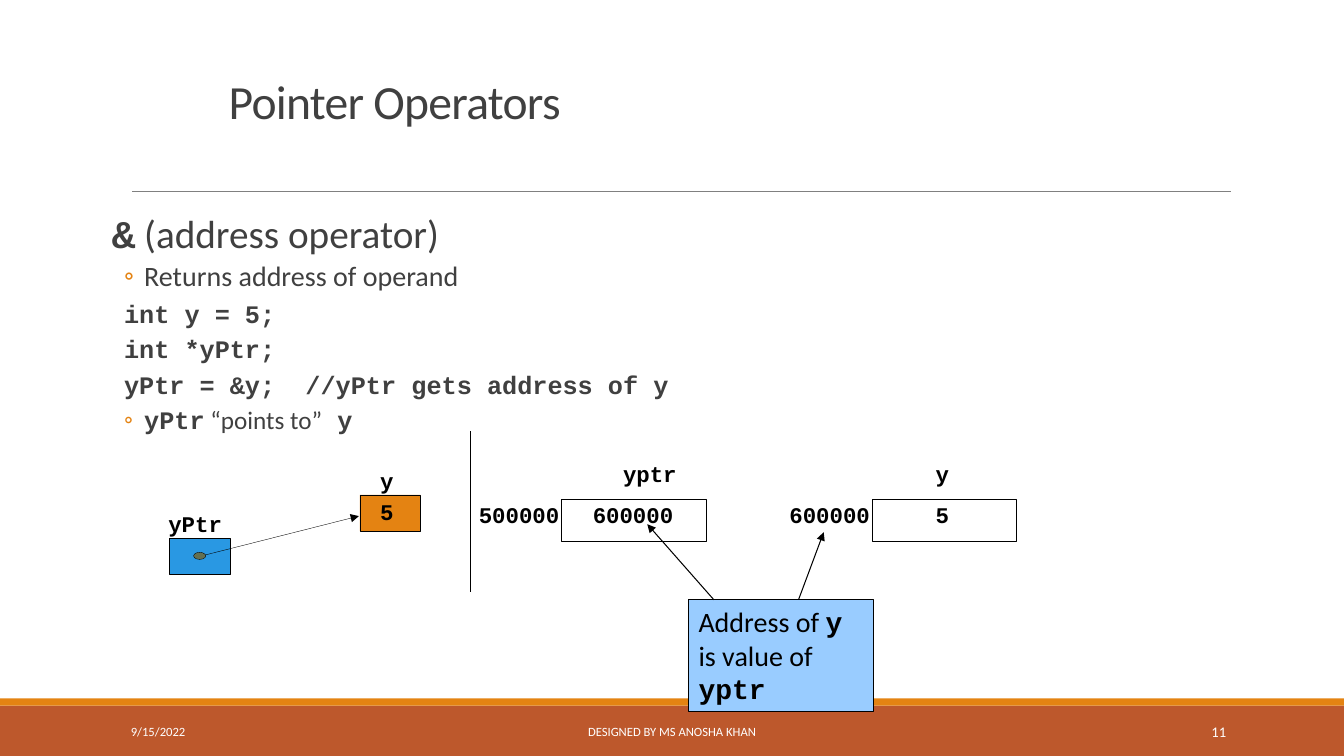
from lxml import etree
from pptx import Presentation
from pptx import util as u
from pptx.dml.color import RGBColor
from pptx.enum import shapes, text
from pptx.oxml.ns import qn

WHITE = RGBColor(0xFF, 0xFF, 0xFF)
BLACK = RGBColor(0, 0, 0)
INK = RGBColor(0x40, 0x40, 0x40)
GREY = RGBColor(0x80, 0x80, 0x80)
RUST = RGBColor(0xBD, 0x58, 0x2C)
ORANGE = RGBColor(0xE4, 0x83, 0x12)
BLUE = RGBColor(0x29, 0x98, 0xE3)
OLIVE = RGBColor(0x63, 0x70, 0x52)
PALE_BLUE = RGBColor(0x99, 0xCC, 0xFF)
SANS, MONO = "Calibri", "Courier New"
WIDTH, HEIGHT = 13.33, 7.5
PADDING = (0.1, 0.05, 0.1, 0.05)

TITLE = "Pointer Operators"
# Each line: bullet, left margin, first-line indent, spans of (wording, font, size)
BODY = [
    (None, 0.1, 0, [("&", MONO, 28), (" (address operator)", SANS, 28)]),
    ("◦", 0.42, -0.2, [("Returns address of operand", SANS, 20)]),
    (None, 0.42, -0.2, [("int y = 5;", MONO, 18)]),
    (None, 0.42, -0.2, [("int *yPtr;", MONO, 18)]),
    (None, 0.42, -0.2, [("yPtr = &y;  //yPtr gets address of y", MONO, 18)]),
    ("◦", 0.42, -0.2, [("yPtr", MONO, 18), (" “points to”", SANS, 18), (" y", MONO, 18)]),
]
POINTER_LABELS = [("yPtr", 1.67, 5.13), ("y", 3.77, 4.7), ("5", 3.77, 5.01)]
# Each memory cell: name and its offset, address, value and its offset
MEMORY = [("yptr", 0.61, "500000", "600000", 0.31), ("y", 0.63, "600000", "5", 0.63)]
MEMORY_LEFT, MEMORY_TOP, MEMORY_STEP = 5.57, 4.95, 3.08
CALLOUT = [("Address of ", SANS, 20), ("y", MONO, 20), (" is value of ", SANS, 20), ("yptr", MONO, 20)]
CALLOUT_ARROWS = [((7.92, 5.95), (8.17, 5.28)), ((7.08, 5.95), (6.42, 5.2))]
FOOTER = [
    ("9/15/2022", 1.2, 2.7, 9, text.PP_ALIGN.LEFT),
    ("11", 10.83, 1.43, 10.5, text.PP_ALIGN.RIGHT),
    ("DESIGNED BY MS ANOSHA KHAN", 4.03, 5.27, 9, text.PP_ALIGN.CENTER),
]

deck = Presentation()
deck.slide_width, deck.slide_height = u.Inches(WIDTH), u.Inches(HEIGHT)
page = deck.slides.add_slide(deck.slide_layouts[6])


def inches(*lengths):
    return [u.Inches(length) for length in lengths]


def add_box(kind, place, fill=None, line_width=None):
    box = page.shapes.add_shape(kind, *inches(*place))
    box.shadow.inherit = False
    if fill is None:
        box.fill.background()
    else:
        box.fill.solid()
        box.fill.fore_color.rgb = fill
    if line_width is None:
        box.line.fill.background()
    else:
        box.line.color.rgb = BLACK
        box.line.width = u.Pt(line_width)
    return box


def add_line(start, end, width, color=BLACK, arrow=False):
    line = page.shapes.add_connector(shapes.MSO_CONNECTOR.STRAIGHT, *inches(*start, *end))
    line.line.color.rgb = color
    line.line.width = u.Pt(width)
    if arrow:
        etree.SubElement(line.line._get_or_add_ln(), qn("a:tailEnd"), type="triangle")
    etree.SubElement(line._element.spPr, qn("a:effectLst"))


def set_frame(box, padding=PADDING, anchor=text.MSO_ANCHOR.TOP, wrap=True):
    frame = box.text_frame
    frame.margin_left, frame.margin_top, frame.margin_right, frame.margin_bottom = inches(*padding)
    frame.vertical_anchor = anchor
    frame.word_wrap = wrap
    return frame


def add_text(place, **options):
    return set_frame(page.shapes.add_textbox(*inches(*place)), **options)


def fill_para(para, spans, color):
    """Adds spans to a paragraph; the monospaced ones are bold."""
    for wording, font, size in spans:
        span = para.add_run()
        span.text = wording
        span.font.name, span.font.size = font, u.Pt(size)
        span.font.bold = font == MONO
        span.font.color.rgb = color


def add_label(wording, left, top, spacing):
    para = add_text((left, top, 0.14 * len(wording), 0.3), padding=(0, 0, 0, 0), wrap=False).paragraphs[0]
    para.line_spacing = spacing
    fill_para(para, [(wording, MONO, 16)], BLACK)


def set_indent(para, bullet, margin, indent):
    properties = para._p.get_or_add_pPr()
    properties.set("marL", str(u.Inches(margin)))
    properties.set("indent", str(u.Inches(indent)))
    if bullet:
        color = etree.SubElement(properties, qn("a:buClr"))
        etree.SubElement(color, qn("a:srgbClr"), val=str(ORANGE))
        etree.SubElement(properties, qn("a:buFont"), typeface=SANS)
        etree.SubElement(properties, qn("a:buChar"), char=bullet)
    else:
        etree.SubElement(properties, qn("a:buNone"))


RECTANGLE = shapes.MSO_SHAPE.RECTANGLE

# Bands and rule
add_box(RECTANGLE, (0, 7, WIDTH, 0.5), RUST)
add_box(RECTANGLE, (0, 6.93, WIDTH, 0.07), ORANGE)
add_line((1.31, 1.9), (12.21, 1.9), 0.5, GREY)

# Title and body
title = add_text((2.17, 0.35, 7.92, 0.98), anchor=text.MSO_ANCHOR.BOTTOM).paragraphs[0]
title.line_spacing = 0.85
fill_para(title, [(TITLE, SANS, 34)], INK)
title.runs[0].font._element.set("spc", "-50")

body = add_text((1.01, 2.08, 9.59, 4.98), padding=(0, 0.05, 0, 0.05))
for row, (bullet, margin, indent, spans) in enumerate(BODY):
    para = body.add_paragraph() if row else body.paragraphs[0]
    set_indent(para, bullet, margin, indent)
    para.line_spacing = 0.9
    para.space_before = u.Pt(2 if row else 0)
    para.space_after = u.Pt(4 if row else 2)
    fill_para(para, spans, INK)

# Pointer diagram
add_box(RECTANGLE, (1.68, 5.34, 0.6, 0.36), BLUE, 0.25)
add_box(RECTANGLE, (3.57, 4.91, 0.6, 0.36), ORANGE, 0.25)
add_line((1.98, 5.52), (3.56, 5.12), 0.25, arrow=True)
add_box(shapes.MSO_SHAPE.OVAL, (1.92, 5.48, 0.12, 0.07), OLIVE, 0.25)
for wording, left, top in POINTER_LABELS:
    add_label(wording, left, top, 0.72)

# Memory cells
add_line((4.67, 4.28), (4.67, 5.87), 0.75)
for column, (name, name_offset, address, value, value_offset) in enumerate(MEMORY):
    left = MEMORY_LEFT + column * MEMORY_STEP
    add_box(RECTANGLE, (left, MEMORY_TOP, 1.43, 0.42), line_width=0.25)
    add_label(name, left + name_offset, MEMORY_TOP - 0.33, 0.8)
    add_label(address, left - 0.82, MEMORY_TOP + 0.07, 0.8)
    add_label(value, left + value_offset, MEMORY_TOP + 0.07, 0.8)

# Callout
callout = set_frame(add_box(RECTANGLE, (6.83, 5.95, 1.83, 1.11), PALE_BLUE, 0.75)).paragraphs[0]
callout.alignment = text.PP_ALIGN.LEFT
fill_para(callout, CALLOUT, BLACK)
for start, end in CALLOUT_ARROWS:
    add_line(start, end, 0.75, arrow=True)

# Footer
for wording, left, width, size, alignment in FOOTER:
    para = add_text((left, 7.06, width, 0.4), anchor=text.MSO_ANCHOR.MIDDLE).paragraphs[0]
    para.alignment = alignment
    fill_para(para, [(wording, SANS, size)], WHITE)

deck.save("out.pptx")
